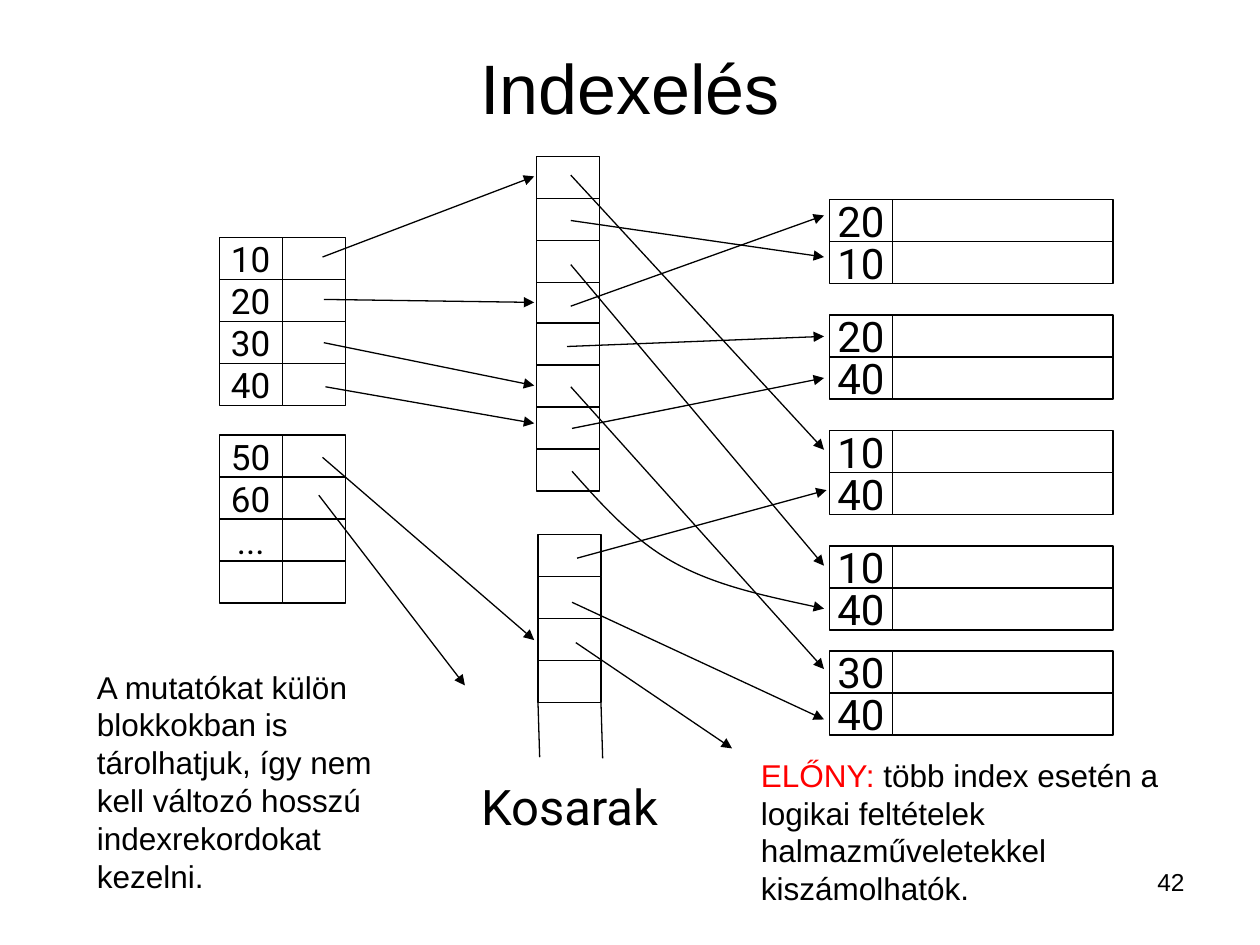
"""Build the slide on indexing with separate pointer buckets."""
from dataclasses import dataclass
from typing import Any

from lxml.etree import SubElement
from pptx import Presentation
from pptx.dml.color import RGBColor
from pptx.enum.shapes import MSO_CONNECTOR as Connector, MSO_SHAPE as Preset
from pptx.enum.text import MSO_ANCHOR as Anchor, PP_ALIGN as Align
from pptx.oxml.ns import qn
from pptx.util import Emu, Pt

PX = 3048
ROW = 100
KEY = 150
DATA = 525
COLORS = {"ink": "000000", "paper": "FFFFFF", "accent": "FF0000"}


@dataclass(frozen=True)
class Block:
    left: int
    top: int
    rows: tuple[str, ...]
    widths: tuple[int, ...]
    size: int = 20


@dataclass(frozen=True)
class Line:
    x1: int
    y1: int
    x2: int
    y2: int
    arrow: bool = True


@dataclass(frozen=True)
class Label:
    left: int
    top: int
    width: int
    height: int
    spans: tuple[tuple[str, str], ...]
    size: int
    font: str = "Arial"
    align: Align = Align.LEFT
    anchor: Anchor = Anchor.TOP
    wrap: bool = True


RECORDS = [
    Block(1975, top, keys, (KEY, DATA), 24)
    for top, keys in (
        (475, ("20", "10")),
        (750, ("20", "40")),
        (1025, ("10", "40")),
        (1300, ("10", "40")),
        (1550, ("30", "40")),
    )
]
INDEX = [
    Block(522, 565, ("10", "20", "30", "40"), (KEY, KEY)),
    Block(522, 1036, ("50", "60", "...", ""), (KEY, KEY)),
]
BUCKETS = [
    Block(left, top, ("",) * 4, (KEY,))
    for left, top in ((1278, 373), (1278, 769), (1281, 1273))
]
BUCKET_EDGES = [
    Line(1281, 1672, 1285, 1803, False),
    Line(1431, 1674, 1435, 1806, False),
]
INDEX_POINTERS = [
    Line(768, 612, 1272, 420),
    Line(771, 713, 1272, 720),
    Line(771, 816, 1272, 918),
    Line(775, 921, 1272, 1008),
    Line(768, 1089, 1272, 1524),
    Line(759, 1179, 1107, 1632),
]
BUCKET_POINTERS = [
    Line(1359, 525, 1962, 612),
    Line(1359, 417, 1962, 1071),
    Line(1359, 630, 1962, 1347),
    Line(1359, 729, 1962, 513),
    Line(1350, 825, 1962, 801),
    Line(1359, 921, 1962, 1593),
    Line(1362, 1020, 1962, 900),
    Line(1362, 1434, 1962, 1713),
    Line(1374, 1329, 1968, 1167),
    Line(1371, 1530, 1743, 1782),
]
CURVED_POINTER = [
    (1362, 1122), (1434, 1203), (1509, 1287), (1608, 1341),
    (1707, 1395), (1836, 1422), (1962, 1449),
]
LABELS = [
    Label(150, 90, 2700, 231, (("Indexelés", "ink"),), 40,
          align=Align.CENTER, anchor=Anchor.MIDDLE),
    Label(1107, 1833, 498, 171, (("Kosarak", "ink"),), 28, "Roboto",
          Align.CENTER, Anchor.MIDDLE, False),
    Label(201, 1575, 828, 570,
          (("A mutatókat külön blokkokban is tárolhatjuk, így nem kell változó "
            "hosszú indexrekordokat kezelni.", "ink"),), 18),
    Label(1782, 1785, 1086, 390,
          (("ELŐNY:", "accent"),
           (" több index esetén a logikai feltételek halmazműveletekkel "
            "kiszámolhatók.", "ink")), 18),
    Label(2151, 2049, 699, 156, (("42", "ink"),), 14, align=Align.RIGHT),
]


def px(length: int) -> Emu:
    """Turn px into EMU."""
    return Emu(length * PX)


def color(name: str) -> RGBColor:
    """Look up a named colour."""
    return RGBColor.from_string(COLORS[name])


def style_line(shape: Any, arrow: bool = False) -> None:
    """Give a shape its thin line and, if asked, an arrowhead at the end."""
    shape.line.color.rgb = color("ink")
    shape.line.width = Pt(0.75)
    if arrow:
        SubElement(shape.line._get_or_add_ln(), qn("a:tailEnd"), type="triangle")


def draw_cell(page: Any, left: int, top: int, width: int, text: str, size: int) -> None:
    """Draw one cell of a block."""
    cell = page.shapes.add_shape(Preset.RECTANGLE, px(left), px(top), px(width), px(ROW))
    cell.shadow.inherit = False
    cell.fill.solid()
    cell.fill.fore_color.rgb = color("paper")
    style_line(cell)
    if text:
        frame = cell.text_frame
        frame.word_wrap = False
        frame.vertical_anchor = Anchor.MIDDLE
        para = frame.paragraphs[0]
        para.text = text
        para.alignment = Align.CENTER
        para.font.name, para.font.size = "Roboto", Pt(size)
        para.font.color.rgb = color("ink")


def draw_block(page: Any, block: Block) -> None:
    """Draw a block row by row, with the key in its first column."""
    for row, key in enumerate(block.rows):
        left = block.left
        for column, width in enumerate(block.widths):
            text = key if column == 0 else ""
            draw_cell(page, left, block.top + row * ROW, width, text, block.size)
            left += width


def draw_line(page: Any, line: Line) -> None:
    """Draw a straight line or pointer."""
    connector = page.shapes.add_connector(
        Connector.STRAIGHT, px(line.x1), px(line.y1), px(line.x2), px(line.y2))
    style_line(connector, line.arrow)
    SubElement(connector._element.spPr, qn("a:effectLst"))


def draw_curve(page: Any, points: list[tuple[int, int]]) -> None:
    """Draw a curved pointer from a start and triples of Bézier points."""
    builder = page.shapes.build_freeform(*points[0], scale=PX)
    builder.add_line_segments(points[1:], close=False)
    curve = builder.convert_to_shape()
    outline = next(curve._element.iter(qn("a:path")))
    segments = outline.findall(qn("a:lnTo"))
    for start in range(0, len(segments), 3):
        bezier = SubElement(outline, qn("a:cubicBezTo"))
        for segment in segments[start:start + 3]:
            bezier.append(segment[0])
            outline.remove(segment)
    curve.shadow.inherit = False
    curve.fill.background()
    style_line(curve, True)


def draw_label(page: Any, label: Label) -> None:
    """Draw a text box made of coloured spans."""
    box = page.shapes.add_textbox(
        px(label.left), px(label.top), px(label.width), px(label.height))
    frame = box.text_frame
    frame.word_wrap = label.wrap
    frame.vertical_anchor = label.anchor
    para = frame.paragraphs[0]
    para.alignment = label.align
    para.font.name, para.font.size = label.font, Pt(label.size)
    for text, name in label.spans:
        span = para.add_run()
        span.text = text
        span.font.color.rgb = color(name)


def main() -> None:
    """Build and save the deck."""
    deck = Presentation()
    deck.slide_width, deck.slide_height = px(3000), px(2250)
    page = deck.slides.add_slide(deck.slide_layouts[6])
    for block in RECORDS + INDEX + BUCKETS:
        draw_block(page, block)
    for line in BUCKET_EDGES + INDEX_POINTERS + BUCKET_POINTERS:
        draw_line(page, line)
    draw_curve(page, CURVED_POINTER)
    for label in LABELS:
        draw_label(page, label)
    deck.save("out.pptx")


if __name__ == "__main__":
    main()
